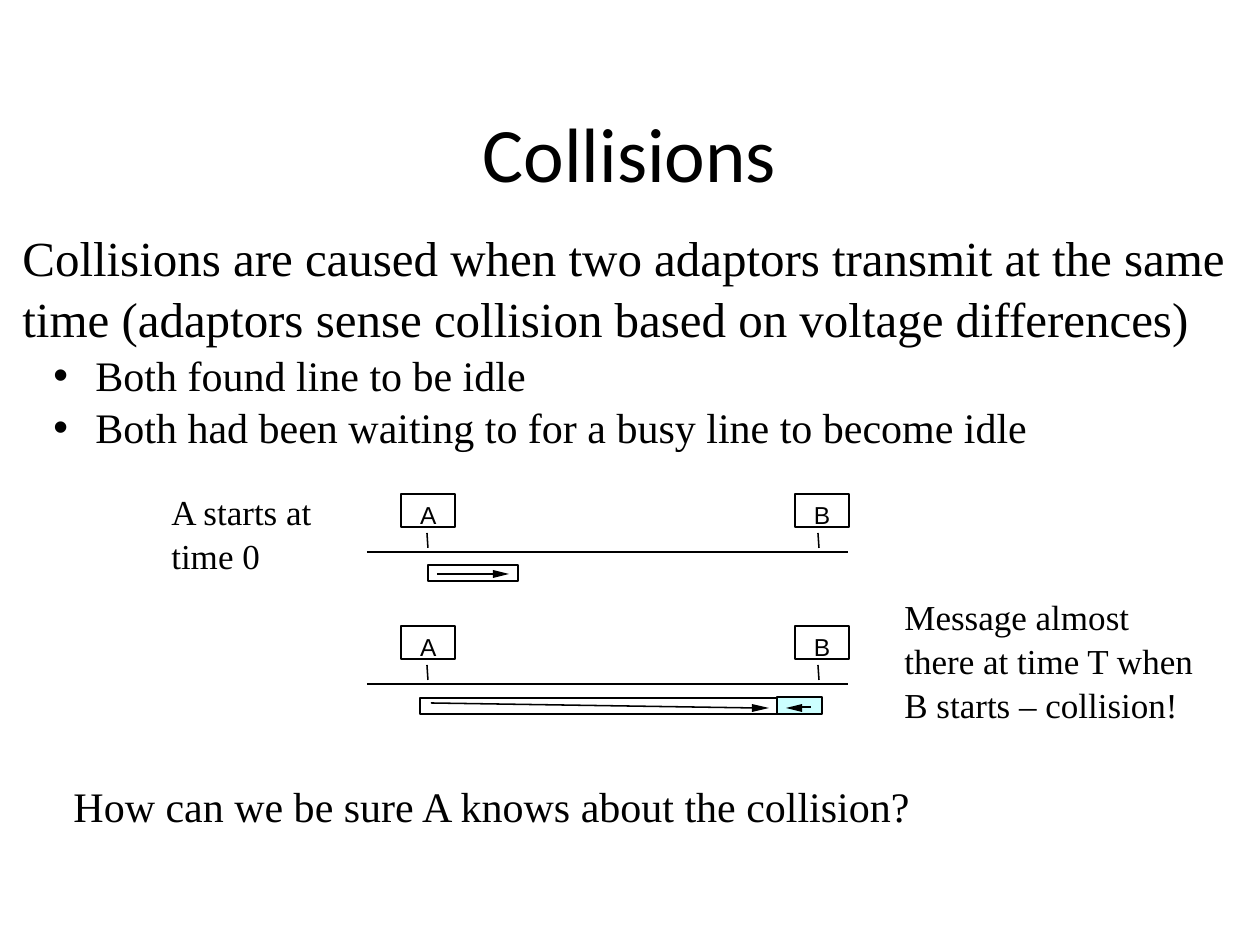
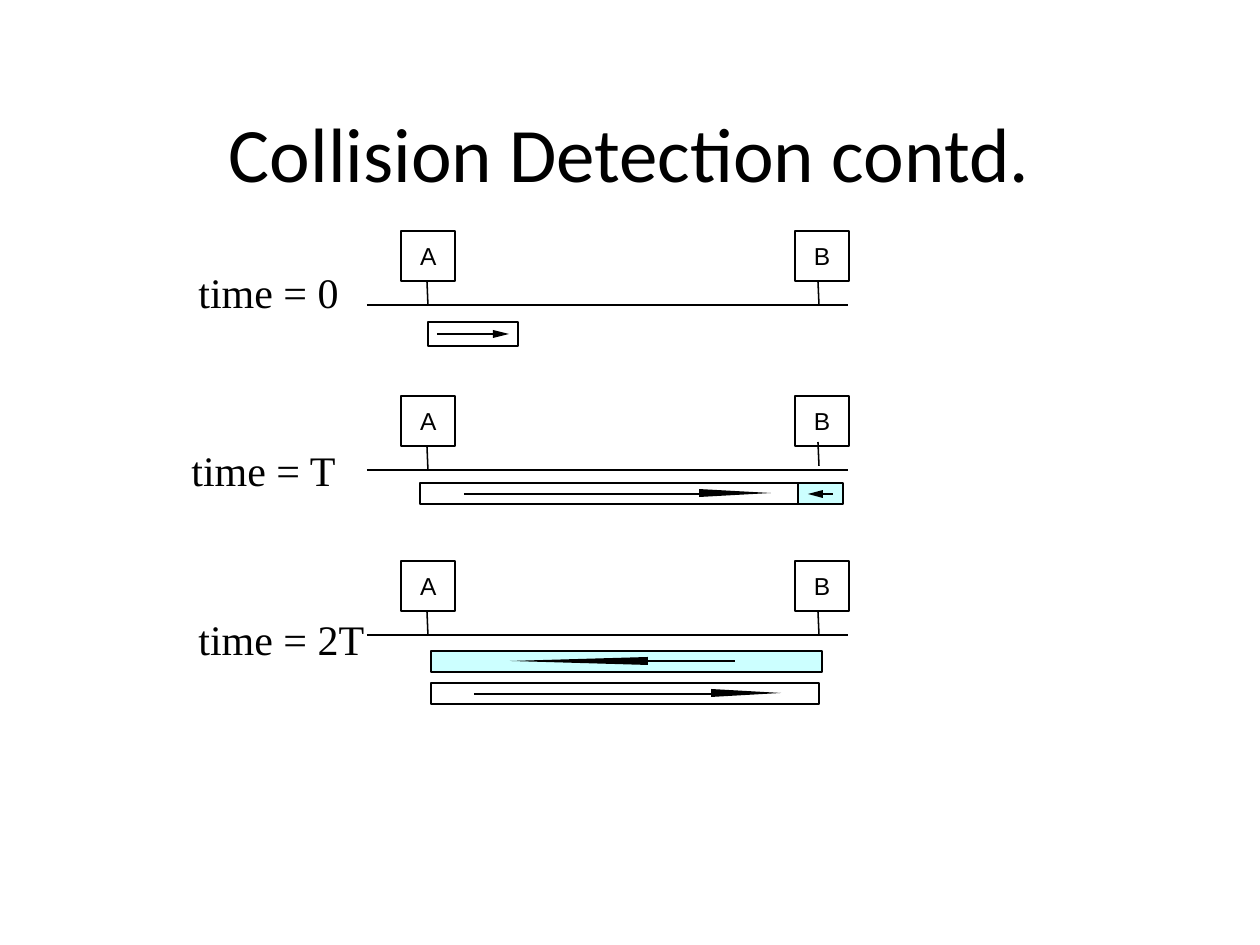
from typing import NamedTuple, Optional

from lxml.etree import SubElement
from pptx import Presentation
from pptx.dml.color import RGBColor
from pptx.enum.shapes import MSO_CONNECTOR as Connector, MSO_SHAPE as Preset
from pptx.enum.text import MSO_ANCHOR as Anchor, PP_ALIGN as Align
from pptx.oxml.ns import qn
from pptx.slide import Slide
from pptx.util import Emu, Pt

PX = 914400 / 126
BLACK = RGBColor(0x00, 0x00, 0x00)
CYAN = RGBColor(0xCC, 0xFF, 0xFF)
LINE_WIDTH = Pt(0.88)
TITLE_FONT, TEXT_FONT, LABEL_FONT = "Calibri", "Times New Roman", "Arial"
BUS_LEFT, BUS_RIGHT = 367, 848
STATIONS = {"A": 401, "B": 795}
STEMS = {"A": 427, "B": 818}
STATION_WIDTH = 54
HEAD_HALF = 4


class Box(NamedTuple):
    left: int
    top: int
    width: int
    height: int


class Line(NamedTuple):
    text: str
    size: int
    bullet: bool = False


class Note(NamedTuple):
    box: Box
    lines: list[Line]


class BusStyle(NamedTuple):
    station_height: int
    label_drop: int
    stem_start: int
    stem_end: int
    bus_drop: int


class Packet(NamedTuple):
    box: Box
    shaft: tuple[int, int, int, int]
    head_base: int
    head_tip: int
    head_y: int
    fill: Optional[RGBColor] = None


SHORT_BUS = BusStyle(33, 6, 39, 54, 58)
TALL_BUS = BusStyle(50, 10, 50, 74, 74)

COLLISION_NOTES = [
    Note(Box(10, 219, 1240, 231), [
        Line("Collisions are caused when two adaptors transmit at the same", 28),
        Line("time (adaptors sense collision based on voltage differences)", 28),
        Line("Both found line to be idle", 24, True),
        Line("Both had been waiting to for a busy line to become idle", 24, True),
    ]),
    Note(Box(159, 483, 166, 97), [Line("A starts at", 20), Line("time 0", 20)]),
    Note(Box(892, 588, 315, 139), [
        Line("Message almost", 20),
        Line("there at time T when", 20),
        Line("B starts – collision!", 20),
    ]),
    Note(Box(61, 772, 866, 63),
         [Line("How can we be sure A knows about the collision?", 24)]),
]
COLLISION_PACKETS = [
    Packet(Box(428, 565, 90, 16), (437, 574, 495, 574), 493, 509, 574),
    Packet(Box(420, 698, 357, 16), (431, 703, 757, 708), 752, 769, 708),
    Packet(Box(777, 697, 45, 17), (811, 707, 799, 707), 802, 786, 708, CYAN),
]
DETECTION_NOTES = [
    Note(Box(186, 258, 165, 63), [Line("time = 0", 24)]),
    Note(Box(179, 436, 170, 63), [Line("time = T", 24)]),
    Note(Box(186, 605, 192, 63), [Line("time = 2T", 24)]),
]
DETECTION_PACKETS = [
    Packet(Box(428, 322, 90, 24), (437, 334, 495, 334), 493, 509, 334),
    Packet(Box(420, 483, 389, 21), (464, 494, 726, 494), 699, 771, 493),
    Packet(Box(798, 483, 45, 21), (833, 494, 820, 494), 823, 808, 494, CYAN),
    Packet(Box(431, 651, 391, 21), (735, 661, 622, 661), 648, 510, 661, CYAN),
    Packet(Box(431, 683, 388, 21), (474, 694, 737, 694), 711, 781, 693),
]


def px(length: int) -> Emu:
    return Emu(round(length * PX))


def add_text(slide: Slide, box: Box, lines: list[Line], font_name: str):
    text_frame = slide.shapes.add_textbox(*map(px, box)).text_frame
    text_frame.word_wrap = True
    text_frame.margin_right = 0
    text_frame.text = "\n".join(line.text for line in lines)
    for paragraph, line in zip(text_frame.paragraphs, lines):
        if line.bullet:
            properties = paragraph._p.get_or_add_pPr()
            properties.set("marL", str(px(73)))
            properties.set("indent", str(px(-42)))
            SubElement(properties, qn("a:buFont")).set("typeface", LABEL_FONT)
            SubElement(properties, qn("a:buChar")).set("char", "•")
        for run in paragraph.runs:
            run.font.name = font_name
            run.font.size = Pt(line.size)
            run.font.color.rgb = BLACK
    return text_frame


def add_title(slide: Slide, text: str) -> None:
    text_frame = add_text(slide, Box(94, 84, 1071, 136), [Line(text, 44)], TITLE_FONT)
    text_frame.margin_right = text_frame.margin_left
    text_frame.vertical_anchor = Anchor.MIDDLE
    text_frame.paragraphs[0].alignment = Align.CENTER


def add_note(slide: Slide, note: Note) -> None:
    text_frame = add_text(slide, note.box, note.lines, TEXT_FONT)
    for paragraph in text_frame.paragraphs:
        paragraph.line_spacing = 1.04


def add_line(slide: Slide, x1: int, y1: int, x2: int, y2: int) -> None:
    connector = slide.shapes.add_connector(
        Connector.STRAIGHT, px(x1), px(y1), px(x2), px(y2))
    connector.line.color.rgb = BLACK
    connector.line.width = LINE_WIDTH
    SubElement(connector._element.spPr, qn("a:effectLst"))


def add_rectangle(slide: Slide, box: Box, fill: Optional[RGBColor] = None) -> None:
    shape = slide.shapes.add_shape(Preset.RECTANGLE, *map(px, box))
    shape.shadow.inherit = False
    shape.line.color.rgb = BLACK
    shape.line.width = LINE_WIDTH
    if fill is None:
        shape.fill.background()
    else:
        shape.fill.solid()
        shape.fill.fore_color.rgb = fill


def add_packet(slide: Slide, packet: Packet) -> None:
    add_rectangle(slide, packet.box, packet.fill)
    add_line(slide, *packet.shaft)
    base, tip, middle = packet.head_base, packet.head_tip, packet.head_y
    builder = slide.shapes.build_freeform(base, middle - HEAD_HALF, scale=PX)
    builder.add_line_segments([(tip, middle), (base, middle + HEAD_HALF)], close=True)
    head = builder.convert_to_shape()
    head.shadow.inherit = False
    head.fill.solid()
    head.fill.fore_color.rgb = BLACK
    head.line.fill.background()


def add_bus(slide: Slide, top: int, style: BusStyle, b_stem_shift: int = 0) -> None:
    for name, left in STATIONS.items():
        add_rectangle(slide, Box(left, top, STATION_WIDTH, style.station_height))
        label_box = Box(left + 19, top + style.label_drop, 17, 29)
        text_frame = add_text(slide, label_box, [Line(name, 14)], LABEL_FONT)
        text_frame.word_wrap = False
        text_frame.margin_left = text_frame.margin_top = text_frame.margin_bottom = 0
        stem = STEMS[name]
        shift = b_stem_shift if name == "B" else 0
        add_line(slide, stem, top + style.stem_start + shift,
                 stem + 1, top + style.stem_end + shift)
    bus_y = top + style.bus_drop
    add_line(slide, BUS_LEFT, bus_y, BUS_RIGHT, bus_y)


def add_diagram_slide(presentation, title: str, notes: list[Note],
                      packets: list[Packet]) -> Slide:
    slide = presentation.slides.add_slide(presentation.slide_layouts[6])
    add_title(slide, title)
    for note in notes:
        add_note(slide, note)
    for packet in packets:
        add_packet(slide, packet)
    return slide


def main() -> None:
    presentation = Presentation()
    presentation.slide_width, presentation.slide_height = px(1260), px(945)
    collisions = add_diagram_slide(
        presentation, "Collisions", COLLISION_NOTES, COLLISION_PACKETS)
    for row in range(2):
        add_bus(collisions, 494 + 132 * row, SHORT_BUS)
    detection = add_diagram_slide(
        presentation, "Collision Detection contd.", DETECTION_NOTES, DETECTION_PACKETS)
    for row, b_stem_shift in enumerate((0, -4, 0)):
        add_bus(detection, 231 + 165 * row, TALL_BUS, b_stem_shift)
    presentation.save("out.pptx")


if __name__ == "__main__":
    main()
